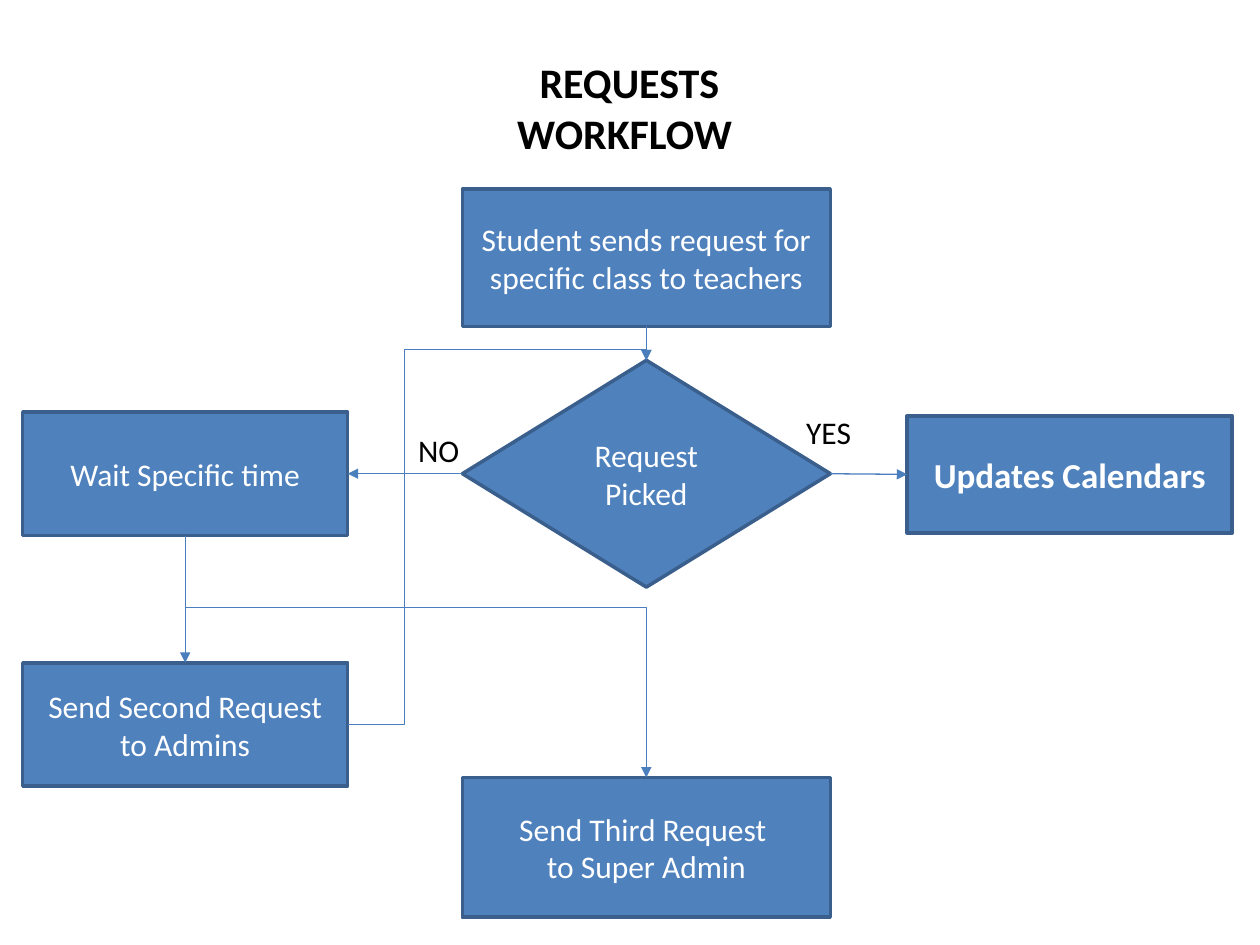
from pptx import Presentation
from pptx.dml.color import RGBColor
from pptx.enum.shapes import MSO_CONNECTOR, MSO_SHAPE
from pptx.enum.text import MSO_ANCHOR, PP_ALIGN
from pptx.oxml.ns import qn
from pptx.util import Inches, Pt
from lxml.etree import SubElement


def rgb(value):
    return RGBColor.from_string(value)


def write(tf, lines, size, color, bold=False, align=None):
    tf.word_wrap = True
    for i, line in enumerate(lines):
        p = tf.paragraphs[0] if i == 0 else tf.add_paragraph()
        p.text = line
        p.alignment = align
        p.font.name = "Calibri"
        p.font.size = Pt(size)
        p.font.bold = bold
        p.font.color.rgb = rgb(color)


prs = Presentation()
prs.slide_width, prs.slide_height = Inches(10), Inches(7.5)
s = prs.slides.add_slide(prs.slide_layouts[6])

# Title and branch labels
labels = [
    (3.55, 0.4, 2.89, 0.91, ["REQUESTS", "WORKFLOW "], 24, True, PP_ALIGN.CENTER),
    (6.3, 3.23, 0.9, 0.4, ["YES"], 18, False, PP_ALIGN.LEFT),
    (3.22, 3.37, 0.9, 0.4, ["NO"], 18, False, PP_ALIGN.LEFT),
]
for x, y, w, h, lines, size, bold, align in labels:
    sp = s.shapes.add_textbox(Inches(x), Inches(y), Inches(w), Inches(h))
    write(sp.text_frame, lines, size, "000000", bold, align)

# Workflow steps
RECT, DIAMOND = MSO_SHAPE.RECTANGLE, MSO_SHAPE.DIAMOND
steps = [
    ("calendars", RECT, 7.2, 3.3, 2.58, 0.93, ["Updates Calendars"], 20, True),
    ("picked", DIAMOND, 3.67, 2.86, 2.92, 1.8, ["Request Picked"], 18, False),
    ("wait", RECT, 0.18, 3.27, 2.58, 0.98, ["Wait Specific time"], 18, False),
    ("student", RECT, 3.67, 1.5, 2.92, 1.09,
     ["Student sends request for specific class to teachers"], 18, False),
    ("second", RECT, 0.18, 5.26, 2.58, 0.98, ["Send Second Request to Admins"], 18, False),
    ("third", RECT, 3.67, 6.17, 2.92, 1.11,
     ["Send Third Request ", "to Super Admin"], 18, False),
]
step = {}
for name, shape, x, y, w, h, lines, size, bold in steps:
    sp = s.shapes.add_shape(shape, Inches(x), Inches(y), Inches(w), Inches(h))
    sp.shadow.inherit = False
    sp.fill.solid()
    sp.fill.fore_color.rgb = rgb("4F81BD")
    sp.line.color.rgb = rgb("3A5F8C")
    sp.line.width = Pt(2)
    sp.text_frame.vertical_anchor = MSO_ANCHOR.MIDDLE
    write(sp.text_frame, lines, size, "FFFFFF", bold, PP_ALIGN.CENTER)
    step[name] = sp

# Arrows: start, side, end, side, bend adjustments
TOP, LEFT, BOTTOM, RIGHT = range(4)
arrows = [
    ("picked", LEFT, "wait", RIGHT, []),
    ("wait", BOTTOM, "second", TOP, []),
    ("second", RIGHT, "picked", TOP, [19100, 103000]),
    ("student", BOTTOM, "picked", TOP, []),
    ("picked", RIGHT, "calendars", LEFT, []),
    ("wait", BOTTOM, "third", TOP, [29900]),
]
for start, side1, end, side2, bends in arrows:
    kind = MSO_CONNECTOR.ELBOW if bends else MSO_CONNECTOR.STRAIGHT
    c = s.shapes.add_connector(kind, 0, 0, 0, 0)
    c.begin_connect(step[start], side1)
    c.end_connect(step[end], side2)
    c.line.color.rgb = rgb("4B7EBC")
    c.line.width = Pt(0.75)
    spPr = c._element.spPr
    SubElement(spPr.find(qn("a:ln")), qn("a:tailEnd"), type="triangle")
    SubElement(spPr, qn("a:effectLst"))
    if bends:
        geom = spPr.find(qn("a:prstGeom"))
        geom.set("prst", f"bentConnector{len(bends) + 2}")
        for i, bend in enumerate(bends, 1):
            SubElement(geom.find(qn("a:avLst")), qn("a:gd"),
                       name=f"adj{i}", fmla=f"val {bend}")
    if bends and side1 == BOTTOM:
        # An elbow that leaves downwards is a turned and mirrored one
        x, y, w, h = c.left, c.top, c.width, c.height
        c.left, c.top = x + (w - h) // 2, y + (h - w) // 2
        c.width, c.height = h, w
        xfrm = spPr.find(qn("a:xfrm"))
        xfrm.set("rot", "16200000")
        xfrm.set("flipH", "1")

prs.save("out.pptx")
